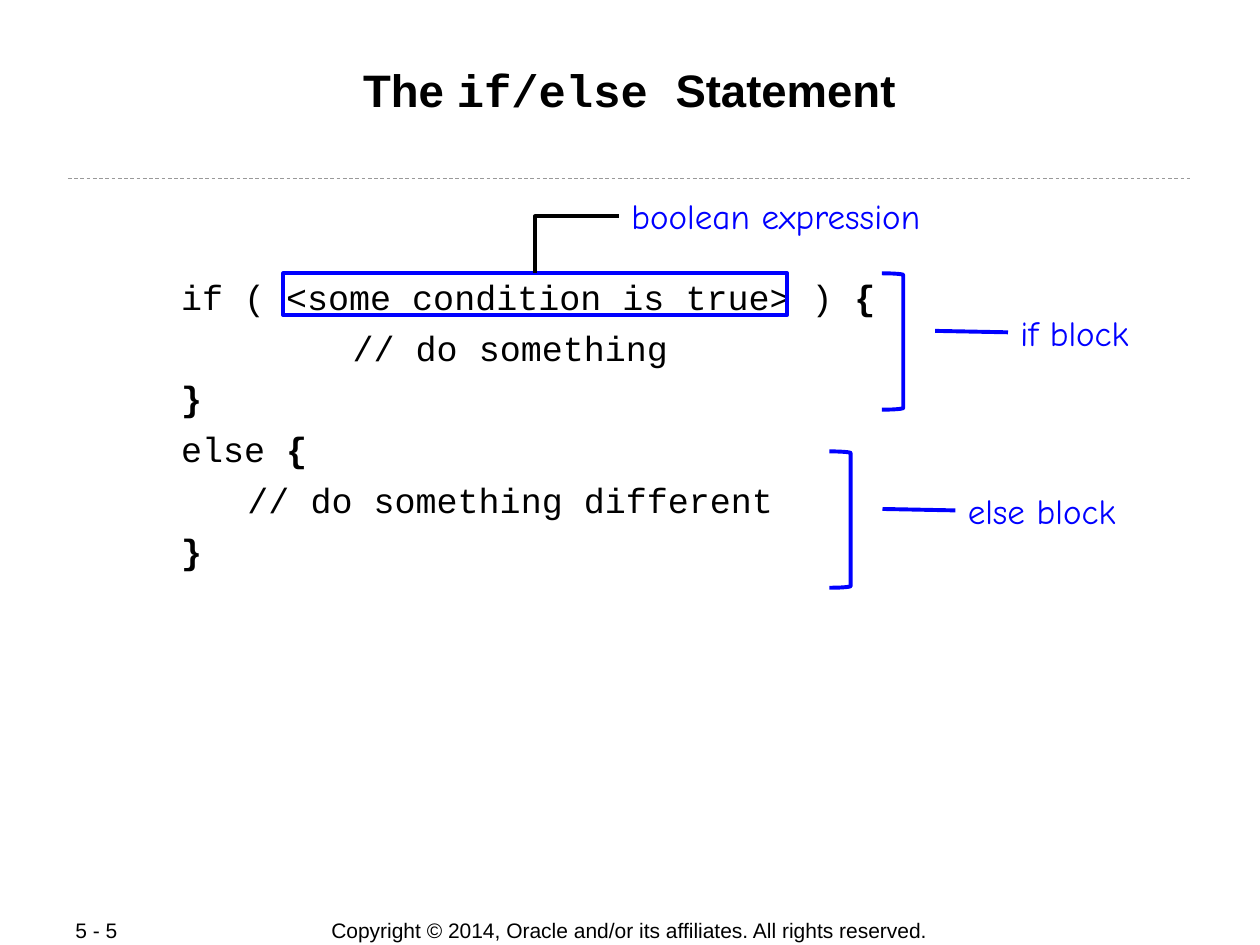
from dataclasses import dataclass

from pptx import Presentation
from pptx.dml.color import RGBColor
from pptx.enum.dml import MSO_LINE as Dash
from pptx.enum.shapes import MSO_CONNECTOR as Connector, MSO_SHAPE as Shape
from pptx.enum.text import MSO_ANCHOR as Anchor, PP_ALIGN as Align
from pptx.oxml.ns import qn
from pptx.util import Cm, Pt


@dataclass(frozen=True)
class Theme:
    black: RGBColor = RGBColor(0, 0, 0)
    blue: RGBColor = RGBColor(0, 0, 255)
    gray: RGBColor = RGBColor(0x99, 0x99, 0x99)
    body_font: str = "Arial"
    code_font: str = "Courier New"
    note_font: str = "Comic Neue"
    title_size: float = 26
    code_size: float = 20
    note_size: float = 20
    footer_size: float = 12
    code_gap: float = 5
    stroke: float = 2.25
    rule: float = 0.5


class SlideBuilder:
    def __init__(self, slide, theme):
        self.slide = slide
        self.theme = theme

    def text_box(self, left, top, width, height, inset=(0.25, 0.13)):
        box = self.slide.shapes.add_textbox(Cm(left), Cm(top), Cm(width), Cm(height))
        frame = box.text_frame
        frame.word_wrap = True
        frame.margin_left = frame.margin_right = Cm(inset[0])
        frame.margin_top = frame.margin_bottom = Cm(inset[1])
        return frame

    def style(self, run, font, size, color, bold=False):
        run.font.name = font
        run.font.size = Pt(size)
        run.font.color.rgb = color
        run.font.bold = bold

    def title(self, parts):
        frame = self.text_box(1.69, 1.23, 22, 2.3, (0.03, 0.03))
        paragraph = frame.paragraphs[0]
        paragraph.alignment = Align.CENTER
        for text, font in parts:
            run = paragraph.add_run()
            run.text = text
            self.style(run, font, self.theme.title_size, self.theme.black, True)

    def code(self, lines):
        frame = self.text_box(1.69, 5.52, 22, 7.19, (0.03, 0.03))
        for index, (indent, plain, brace) in enumerate(lines):
            paragraph = frame.add_paragraph() if index else frame.paragraphs[0]
            if index:
                paragraph.space_before = Pt(self.theme.code_gap)
            properties = paragraph._p.get_or_add_pPr()
            properties.set("marL", str(Cm(indent)))
            properties.set("indent", "0")
            for text, bold in ((plain, False), (brace, True)):
                if text:
                    run = paragraph.add_run()
                    run.text = text
                    self.style(run, self.theme.code_font, self.theme.code_size,
                               self.theme.black, bold)

    def note(self, text, left, top, width):
        frame = self.text_box(left, top, width, 1.12)
        frame.text = text
        self.style(frame.paragraphs[0].runs[0], self.theme.note_font,
                   self.theme.note_size, self.theme.blue)

    def footer(self, text, left, width, align):
        frame = self.text_box(left, 18.49, width, 0.53)
        frame.vertical_anchor = Anchor.MIDDLE
        frame.text = text
        paragraph = frame.paragraphs[0]
        paragraph.alignment = align
        self.style(paragraph.runs[0], self.theme.body_font,
                   self.theme.footer_size, self.theme.black)

    def outline(self, kind, left, top, width, height):
        shape = self.slide.shapes.add_shape(
            kind, Cm(left), Cm(top), Cm(width), Cm(height))
        shape.shadow.inherit = False
        shape.fill.background()
        shape.line.color.rgb = self.theme.blue
        shape.line.width = Pt(self.theme.stroke)
        return shape

    def line(self, start, end, color, width, kind=Connector.STRAIGHT):
        connector = self.slide.shapes.add_connector(
            kind, *(Cm(value) for value in (*start, *end)))
        connector.line.color.rgb = color
        connector.line.width = Pt(width)
        properties = connector._element.spPr
        properties.append(properties.makeelement(qn("a:effectLst"), {}))
        return connector

    def corner(self, start, end):
        connector = self.line(start, end, self.theme.black, self.theme.stroke,
                              Connector.ELBOW)
        geometry = connector._element.spPr.find(qn("a:prstGeom"))
        geometry.set("prst", "bentConnector2")

    def divider(self):
        line = self.line((1.37, 3.6), (24.03, 3.6), self.theme.gray, self.theme.rule)
        line.line.dash_style = Dash.DASH

    def block(self, text, left, top, note_width):
        bracket = self.outline(Shape.RIGHT_BRACKET, left, top, 0.43, 2.75)
        bracket.adjustments[0] = 0.08
        note_left = left + 2.54
        self.note(text, note_left, top + 0.63, note_width)
        self.line((note_left, top + 1.19), (left + 1.07, top + 1.16),
                  self.theme.blue, self.theme.stroke)


def main():
    presentation = Presentation()
    presentation.slide_width = Cm(25.4)
    presentation.slide_height = Cm(19.05)
    theme = Theme()
    slide = presentation.slides.add_slide(presentation.slide_layouts[6])
    builder = SlideBuilder(slide, theme)

    builder.footer("Copyright © 2014, Oracle and/or its affiliates. All rights reserved.",
                   6.19, 13, Align.CENTER)
    builder.divider()
    builder.footer("5 - 5", 1.27, 2.69, Align.LEFT)
    builder.title([("The ", theme.body_font), ("if/else ", theme.code_font),
                   ("Statement", theme.body_font)])
    builder.code([
        (1.93, "if ( <some condition is true> ) ", "{"),
        (5.39, "// do something", ""),
        (1.93, "", "}"),
        (1.93, "else ", "{"),
        (3.27, "// do something different", ""),
        (1.93, "", "}"),
    ])
    builder.note("boolean expression", 12.48, 3.8, 6.78)
    builder.outline(Shape.RECTANGLE, 5.71, 5.51, 10.16, 0.84)
    builder.block("if block", 17.78, 5.51, 2.8)
    builder.block("else block", 16.72, 9.1, 4.24)
    builder.corner((12.48, 4.36), (10.79, 5.51))

    presentation.save("out.pptx")


if __name__ == "__main__":
    main()
